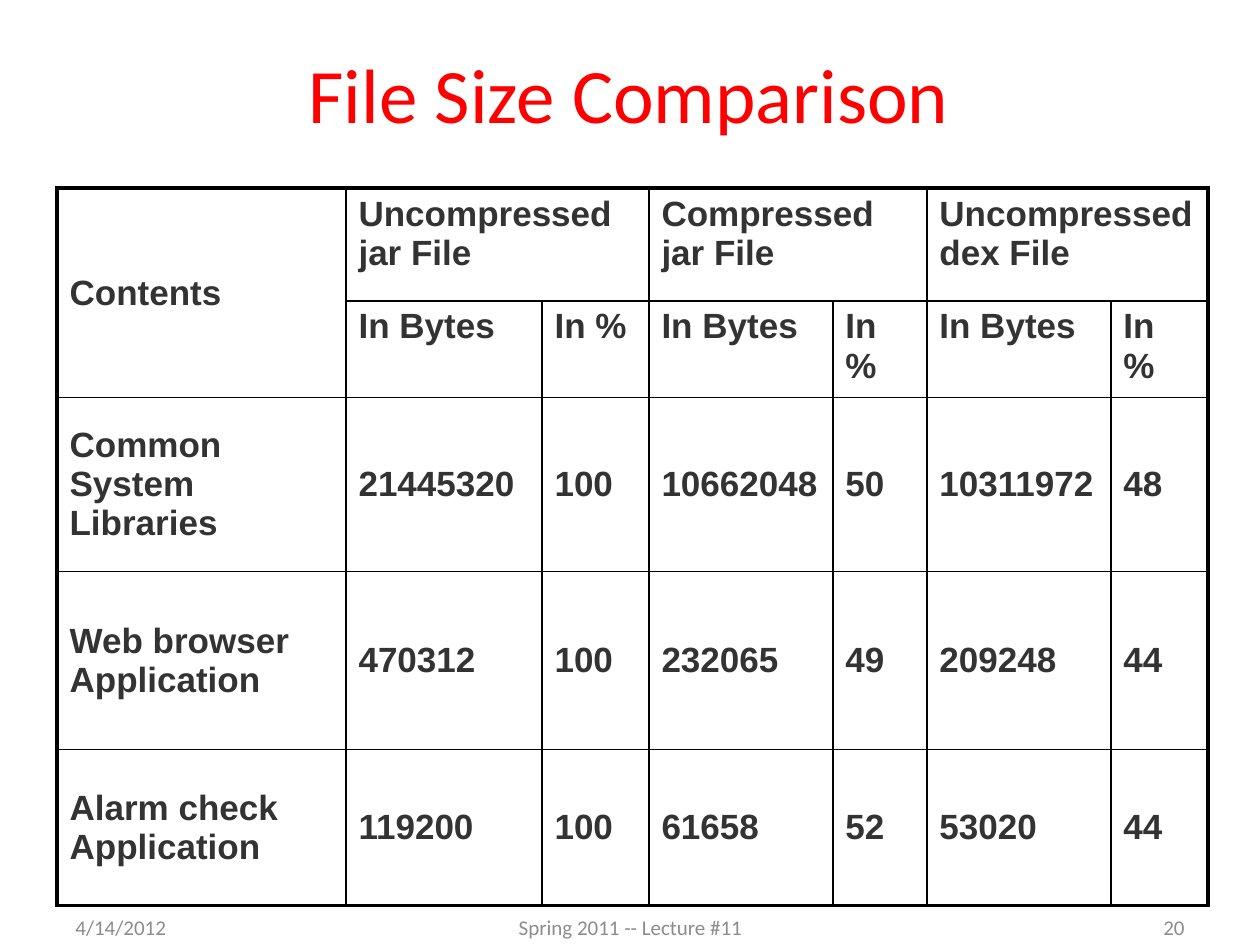
from lxml.etree import SubElement
from pptx import Presentation
from pptx.dml.color import RGBColor
from pptx.enum.text import MSO_ANCHOR as Anchor, PP_ALIGN as Align
from pptx.oxml.ns import qn
from pptx.util import Pt

PX = 914400 / 126
RED = RGBColor(0xFF, 0, 0)
GRAY = RGBColor(0x8C, 0x8C, 0x8C)
DARK = RGBColor(0x33, 0x33, 0x33)
LINE = RGBColor(0, 0, 0)
THIN, THICK = 1, 2.25

TITLE = ("File Size Comparison", (33, 14, 1192, 157))
FOOT = [
    ("4/14/2012", (63, 902, 294, 50), Align.LEFT),
    ("Spring 2011 -- Lecture #11", (431, 902, 399, 50), Align.CENTER),
    ("20", (903, 902, 294, 50), Align.RIGHT),
]
GROUPS = ["Uncompressed jar File", "Compressed jar File", "Uncompressed dex File"]
UNITS = ["In Bytes", "In %"]
SIZES = [
    ("Common System Libraries", 21445320, 100, 10662048, 50, 10311972, 48),
    ("Web browser Application", 470312, 100, 232065, 49, 209248, 44),
    ("Alarm check Application", 119200, 100, 61658, 52, 53020, 44),
]
LEFT, TOP = 57, 188
COLS = [289, 196, 107, 184, 94, 184, 97]
ROWS = [113, 96, 174, 178, 156]


def emu(px):
    return round(px * PX)


def write(frame, text, font="Calibri", size=12, color=GRAY, bold=False, align=Align.LEFT):
    frame.word_wrap = True
    para = frame.paragraphs[0]
    para.alignment = align
    run = para.add_run()
    run.text = text
    run.font.name, run.font.size, run.font.bold = font, Pt(size), bold
    run.font.color.rgb = color


def add_text(slide, text, area, **style):
    frame = slide.shapes.add_textbox(*map(emu, area)).text_frame
    frame.vertical_anchor = Anchor.MIDDLE
    write(frame, text, **style)


def add_edges(cell, row, col):
    """Draw cell borders, thick where they lie on the outside of the table."""
    last_row = row + (cell.span_height if cell.is_merge_origin else 1)
    last_col = col + (cell.span_width if cell.is_merge_origin else 1)
    outer = {"L": col == 0, "R": last_col == len(COLS),
             "T": row == 0, "B": last_row == len(ROWS)}
    props = cell._tc.get_or_add_tcPr()
    for side, thick in outer.items():
        width = Pt(THICK if thick else THIN)
        edge = SubElement(props, qn(f"a:ln{side}"), w=str(width))
        fill = SubElement(edge, qn("a:solidFill"))
        SubElement(fill, qn("a:srgbClr"), val=str(LINE))


def add_grid(slide):
    area = LEFT, TOP, sum(COLS), sum(ROWS)
    table = slide.shapes.add_table(len(ROWS), len(COLS), *map(emu, area)).table
    table.first_row = table.horz_banding = False
    for col, width in zip(table.columns, COLS):
        col.width = emu(width)
    for row, height in zip(table.rows, ROWS):
        row.height = emu(height)

    table.cell(0, 0).merge(table.cell(1, 0))
    heads = ["Contents"]
    for i, group in enumerate(GROUPS):
        col = 1 + 2 * i
        table.cell(0, col).merge(table.cell(0, col + 1))
        heads += [group, ""]
    grid = [heads, [""] + UNITS * len(GROUPS), *SIZES]

    for r, values in enumerate(grid):
        for c, value in enumerate(values):
            cell = table.cell(r, c)
            add_edges(cell, r, c)
            cell.fill.background()
            if cell.is_spanned:
                continue
            cell.vertical_anchor = Anchor.MIDDLE if r > 1 or c == 0 else Anchor.TOP
            write(cell.text_frame, str(value), font="Arial", size=20, color=DARK, bold=True)


def main():
    deck = Presentation()
    deck.slide_width, deck.slide_height = emu(1260), emu(945)
    slide = deck.slides.add_slide(deck.slide_layouts[6])
    add_text(slide, *TITLE, size=44, color=RED, align=Align.CENTER)
    for text, area, align in FOOT:
        add_text(slide, text, area, align=align)
    add_grid(slide)
    deck.save("out.pptx")


if __name__ == "__main__":
    main()
